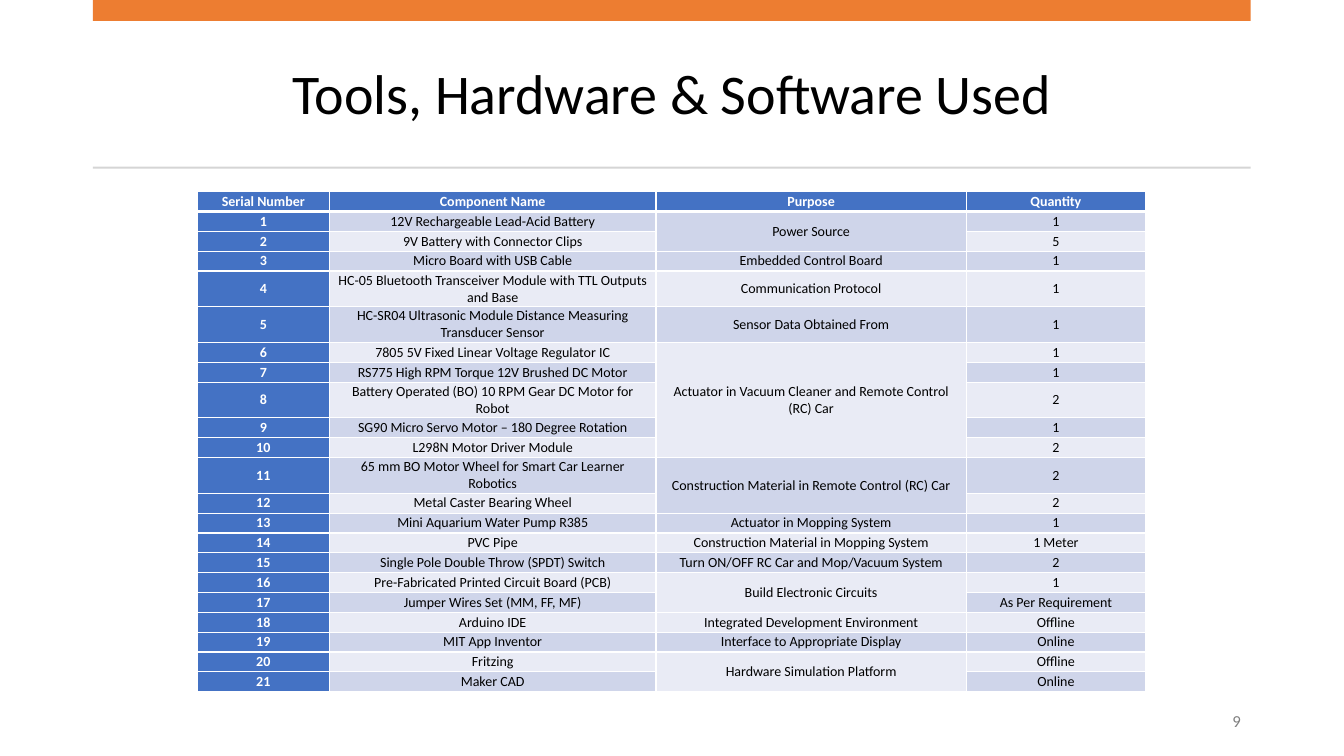
from lxml import etree
from pptx import Presentation
from pptx import util as u
from pptx.dml.color import RGBColor
from pptx.enum import shapes, text
from pptx.oxml.ns import qn

COLORS = {
    "orange": "ED7D31", "rule": "D5D5D5", "blue": "4472C4", "dark": "CFD5EA",
    "light": "E9EBF5", "white": "FFFFFF", "black": "000000", "gray": "808080",
}
HEADER = ("Serial Number", "Component Name", "Purpose", "Quantity")
COMPONENTS = [
    ("12V Rechargeable Lead-Acid Battery", "Power Source", "1"),
    ("9V Battery with Connector Clips", None, "5"),
    ("Micro Board with USB Cable", "Embedded Control Board", "1"),
    ("HC-05 Bluetooth Transceiver Module with TTL Outputs and Base", "Communication Protocol", "1"),
    ("HC-SR04 Ultrasonic Module Distance Measuring Transducer Sensor", "Sensor Data Obtained From", "1"),
    ("7805 5V Fixed Linear Voltage Regulator IC", "Actuator in Vacuum Cleaner and Remote Control (RC) Car", "1"),
    ("RS775 High RPM Torque 12V Brushed DC Motor", None, "1"),
    ("Battery Operated (BO) 10 RPM Gear DC Motor for Robot", None, "2"),
    ("SG90 Micro Servo Motor – 180 Degree Rotation", None, "1"),
    ("L298N Motor Driver Module", None, "2"),
    ("65 mm BO Motor Wheel for Smart Car Learner Robotics", "Construction Material in Remote Control (RC) Car", "2"),
    ("Metal Caster Bearing Wheel", None, "2"),
    ("Mini Aquarium Water Pump R385", "Actuator in Mopping System", "1"),
    ("PVC Pipe", "Construction Material in Mopping System", "1 Meter"),
    ("Single Pole Double Throw (SPDT) Switch", "Turn ON/OFF RC Car and Mop/Vacuum System", "2"),
    ("Pre-Fabricated Printed Circuit Board (PCB)", "Build Electronic Circuits", "1"),
    ("Jumper Wires Set (MM, FF, MF)", None, "As Per Requirement"),
    ("Arduino IDE", "Integrated Development Environment", "Offline"),
    ("MIT App Inventor", "Interface to Appropriate Display", "Online"),
    ("Fritzing", "Hardware Simulation Platform", "Offline"),
    ("Maker CAD", None, "Online"),
]
COLUMN_WIDTHS = (3.33, 8.23, 7.82, 4.52)
ROW_HEIGHT, TALL_HEIGHT = 0.5, 0.9
TALL_ROWS = (4, 5, 8, 11)
PURPOSE = 2
MIDDLE = text.MSO_ANCHOR.MIDDLE
CENTER, RIGHT = text.PP_ALIGN.CENTER, text.PP_ALIGN.RIGHT


class Deck:
    def __init__(self, s, font="Calibri"):
        self.s = s
        self.font = font

    def rgb(self, color):
        return RGBColor.from_string(COLORS[color])

    def add_words(self, tf, words, size, color, bold=False, **layout):
        p = tf.paragraphs[0]
        for name, value in layout.items():
            setattr(p, name, value)
        r = p.add_run()
        r.text = words
        fmt = {"name": self.font, "size": u.Pt(size), "bold": bold}
        for name, value in fmt.items():
            setattr(r.font, name, value)
        r.font.color.rgb = self.rgb(color)

    def textbox(self, box, words, size, color, **layout):
        tf = self.s.shapes.add_textbox(*map(u.Cm, box)).text_frame
        tf.word_wrap = True
        tf.vertical_anchor = MIDDLE
        self.add_words(tf, words, size, color, **layout)

    def bar(self, box, color):
        sp = self.s.shapes.add_shape(shapes.MSO_SHAPE.RECTANGLE, *map(u.Cm, box))
        sp.shadow.inherit = False
        sp.fill.solid()
        sp.fill.fore_color.rgb = self.rgb(color)
        sp.line.fill.background()

    def borders(self, cell, widths):
        tcPr = cell._tc.get_or_add_tcPr()
        for side, width in widths.items():
            ln = etree.SubElement(tcPr, qn(f"a:ln{side}"), w=str(u.Pt(width)))
            fill = etree.SubElement(ln, qn("a:solidFill"))
            etree.SubElement(fill, qn("a:srgbClr"), val=COLORS["white"])

    def cell(self, cell, words, row, col):
        fmt = {
            "margin_left": u.Cm(0.15), "margin_right": u.Cm(0.15),
            "margin_top": 0, "margin_bottom": 0, "vertical_anchor": MIDDLE,
        }
        for name, value in fmt.items():
            setattr(cell, name, value)
        self.borders(cell, {"L": 1, "R": 1, "T": 3 if row == 1 else 1, "B": 3 if row == 0 else 1})
        heading = row == 0 or col == 0
        cell.fill.solid()
        cell.fill.fore_color.rgb = self.rgb("blue" if heading else "dark" if row % 2 else "light")
        self.add_words(cell.text_frame, words or "", 10, "white" if heading else "black",
                       bold=heading, alignment=CENTER)

    def table(self, left, top, rows):
        heights = [TALL_HEIGHT if i in TALL_ROWS else ROW_HEIGHT for i in range(len(rows))]
        size = (sum(COLUMN_WIDTHS), sum(heights))
        table = self.s.shapes.add_table(
            len(rows), len(COLUMN_WIDTHS), *map(u.Cm, (left, top, *size))).table
        table.horz_banding = False
        for column, width in zip(table.columns, COLUMN_WIDTHS):
            column.width = u.Cm(width)
        for row, height in zip(table.rows, heights):
            row.height = u.Cm(height)
        for i, row in enumerate(rows):
            for j, words in enumerate(row):
                self.cell(table.cell(i, j), words, i, j)
        starts = [i for i, row in enumerate(rows) if row[PURPOSE]] + [len(rows)]
        for first, following in zip(starts, starts[1:]):
            if following - first > 1:
                table.cell(first, PURPOSE).merge(table.cell(following - 1, PURPOSE))


def main():
    prs = Presentation()
    prs.slide_width, prs.slide_height = u.Cm(33.87), u.Cm(19.05)
    deck = Deck(prs.slides.add_slide(prs.slide_layouts[6]))
    deck.textbox((2.34, 0.94, 29.18, 3), "Tools, Hardware & Software Used", 40, "black",
                 alignment=CENTER, line_spacing=0.9)
    deck.bar((2.34, 0, 29.18, 0.53), "orange")
    deck.bar((2.34, 4.2, 29.18, 0.05), "rule")
    deck.textbox((24.2, 17.65, 7.32, 1.02), "9", 12, "gray",
                 alignment=RIGHT, space_after=u.Pt(6))
    rows = [HEADER] + [(str(n), *item) for n, item in enumerate(COMPONENTS, 1)]
    deck.table(4.97, 4.83, rows)
    prs.save("out.pptx")


if __name__ == "__main__":
    main()
